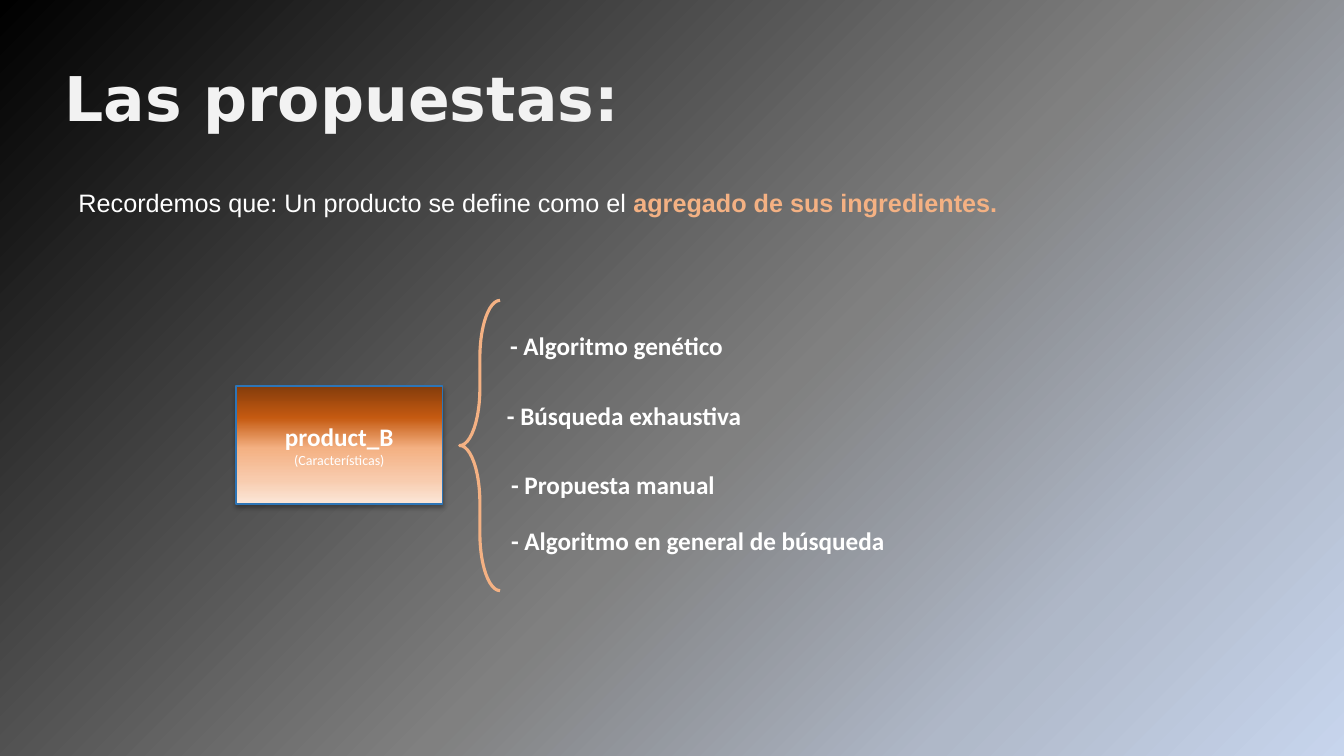
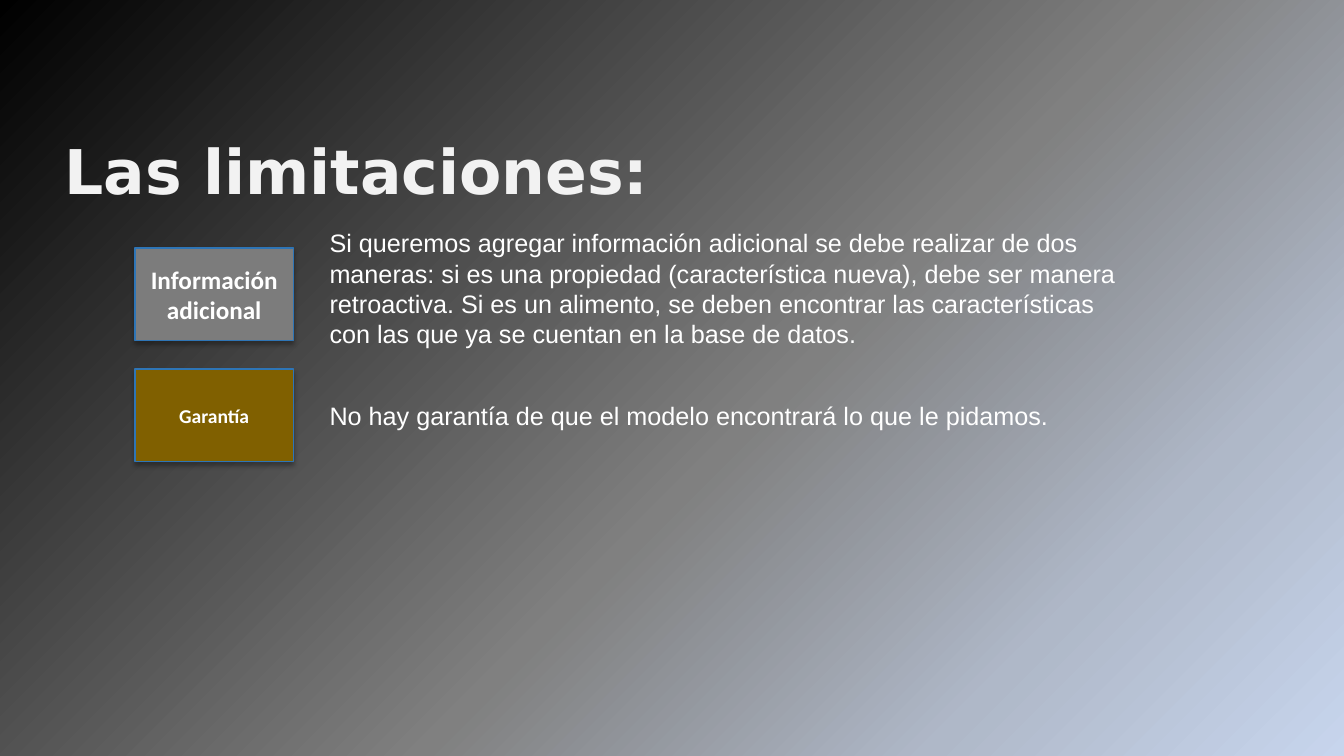
from lxml.etree import SubElement
from pptx import Presentation
from pptx.dml.color import RGBColor
from pptx.enum.shapes import MSO_SHAPE
from pptx.enum.text import MSO_ANCHOR, MSO_AUTO_SIZE, PP_ALIGN
from pptx.oxml.ns import qn
from pptx.util import Inches, Pt

WHITE = RGBColor(0xFF, 0xFF, 0xFF)
PALE = RGBColor(0xF2, 0xF2, 0xF2)
PEACH = RGBColor(0xF4, 0xB1, 0x83)
BLUE = RGBColor(0x2E, 0x75, 0xB6)
GREY = RGBColor(0x7C, 0x7C, 0x7C)
OLIVE = RGBColor(0x80, 0x60, 0x00)
NIGHT = [(0, "000000"), (56, "808080"), (80, "AFB8C8"), (100, "C7D5ED")]
EMBER = [(0, "843C0B"), (27, "C55A11"), (53, "F4B183"), (79, "F8CBAD"),
         (99, "FBE5D6"), (100, "7030A0")]

HEAD = {"name": "DejaVu Sans", "size": Pt(44), "bold": True, "color": PALE}
BODY = {"name": "Arial", "size": Pt(18), "bold": False, "color": WHITE}
KEY = {**BODY, "bold": True, "color": PEACH}
LABEL = {"name": "Calibri", "size": Pt(18), "bold": True, "color": WHITE}
MINOR = {**LABEL, "size": Pt(14)}
SMALL = {**LABEL, "size": Pt(10), "bold": False}


def blend(fill, root, stops, angle):
    """Give a fill its gradient stops and its clockwise angle."""
    fill.gradient()
    grad = next(root.iter(qn("a:gradFill")))
    for part in list(grad):
        grad.remove(part)
    group = SubElement(grad, qn("a:gsLst"))
    for place, color in stops:
        stop = SubElement(group, qn("a:gs"), pos=str(place * 1000))
        SubElement(stop, qn("a:srgbClr"), val=color)
    SubElement(grad, qn("a:lin"), ang=str(angle * 60000), scaled="0")


def shade(shape):
    """Add a soft shadow below a shape."""
    shape.shadow.inherit = False
    effects = shape.element.spPr.find(qn("a:effectLst"))
    outer = SubElement(effects, qn("a:outerShdw"), blurRad=str(Pt(3.5)),
                       dist=str(Pt(2.2)), dir="5400000", rotWithShape="0")
    color = SubElement(outer, qn("a:srgbClr"), val="000000")
    SubElement(color, qn("a:alpha"), val="32000")


def write(frame, lines, align=PP_ALIGN.LEFT, **look):
    """Write lines, each a list of (text, format) runs."""
    for name, value in look.items():
        setattr(frame, name, value)
    for i, runs in enumerate(lines):
        para = frame.paragraphs[0] if i == 0 else frame.add_paragraph()
        para.alignment = align
        for text, style in runs:
            run = para.add_run()
            run.text = text
            for name, value in style.items():
                if name == "color":
                    run.font.color.rgb = value
                else:
                    setattr(run.font, name, value)


def note(slide, box, *runs):
    """Place a wrapped line of text in a box."""
    area = slide.shapes.add_textbox(*map(Inches, box))
    write(area.text_frame, [runs], word_wrap=True)


def card(slide, box, fill, *lines):
    """Place a shadowed card with centred lines."""
    shape = slide.shapes.add_shape(MSO_SHAPE.RECTANGLE, *map(Inches, box))
    if isinstance(fill, RGBColor):
        shape.fill.solid()
        shape.fill.fore_color.rgb = fill
    else:
        blend(shape.fill, shape.element, fill, 90)
    shape.line.color.rgb = BLUE
    shape.line.width = Pt(1)
    shade(shape)
    write(shape.text_frame, [[line] for line in lines], PP_ALIGN.CENTER,
          word_wrap=True, vertical_anchor=MSO_ANCHOR.MIDDLE)


def start(deck, text, top, width):
    """Add a slide with its title."""
    slide = deck.slides.add_slide(deck.slide_layouts[5])
    title = slide.shapes.title
    place = {"left": 0.54, "top": top, "width": width, "height": 0.84}
    for name, value in place.items():
        setattr(title, name, Inches(value))
    write(title.text_frame, [[(text, HEAD)]], word_wrap=False,
          auto_size=MSO_AUTO_SIZE.NONE, vertical_anchor=MSO_ANCHOR.TOP)
    return slide


def brace(slide, box):
    """Draw the brace that opens the list."""
    shape = slide.shapes.add_shape(MSO_SHAPE.LEFT_BRACE, *map(Inches, box))
    shape.adjustments[0] = 1.425
    shape.adjustments[1] = 0.5
    shape.fill.background()
    shape.line.color.rgb = PEACH
    shape.line.width = Pt(2.25)
    shape.shadow.inherit = False


def offers(deck):
    """Build the slide of proposals."""
    slide = start(deck, "Las propuestas:", 0.54, 5.81)
    note(slide, (0.68, 1.81, 9.62, 0.4),
         ("Recordemos que: Un producto se define como el ", BODY),
         ("agregado de sus ingredientes.", KEY))
    card(slide, (2.34, 3.83, 2.05, 1.17), EMBER,
         ("product_B", LABEL), ("(Características)", SMALL))
    brace(slide, (4.56, 2.98, 0.4, 2.88))
    items = [(4.96, 3.23, "- Algoritmo genético"),
             (4.93, 3.92, "- Búsqueda exhaustiva"),
             (4.97, 4.61, "- Propuesta manual"),
             (4.97, 5.16, "- Algoritmo en general de búsqueda")]
    for left, top, text in items:
        note(slide, (left, top, 4.31, 0.4), (text, LABEL))


def limits(deck):
    """Build the slide of limitations."""
    slide = start(deck, "Las limitaciones:", 1.27, 7.19)
    rows = [("Información adicional", LABEL, GREY, 2.21, 1.31,
             "Si queremos agregar información adicional se debe realizar de "
             "dos maneras: si es una propiedad (característica nueva), debe "
             "ser manera retroactiva. Si es un alimento, se deben encontrar "
             "las características con las que ya se cuentan en la base de "
             "datos."),
            ("Garantía", MINOR, OLIVE, 3.92, 0.4,
             "No hay garantía de que el modelo encontrará lo que le pidamos.")]
    for i, (name, style, fill, top, height, text) in enumerate(rows):
        card(slide, (1.34, 2.46 + 1.2 * i, 1.57, 0.92), fill, (name, style))
        note(slide, (3.17, top, 8.14, height), (text, BODY))


def main():
    """Build and save the deck."""
    deck = Presentation()
    deck.slide_width = Inches(13.33)
    deck.slide_height = Inches(7.5)
    master = deck.slide_master
    blend(master.background.fill, master.element, NIGHT, 45)
    offers(deck)
    limits(deck)
    deck.save("out.pptx")


if __name__ == "__main__":
    main()
